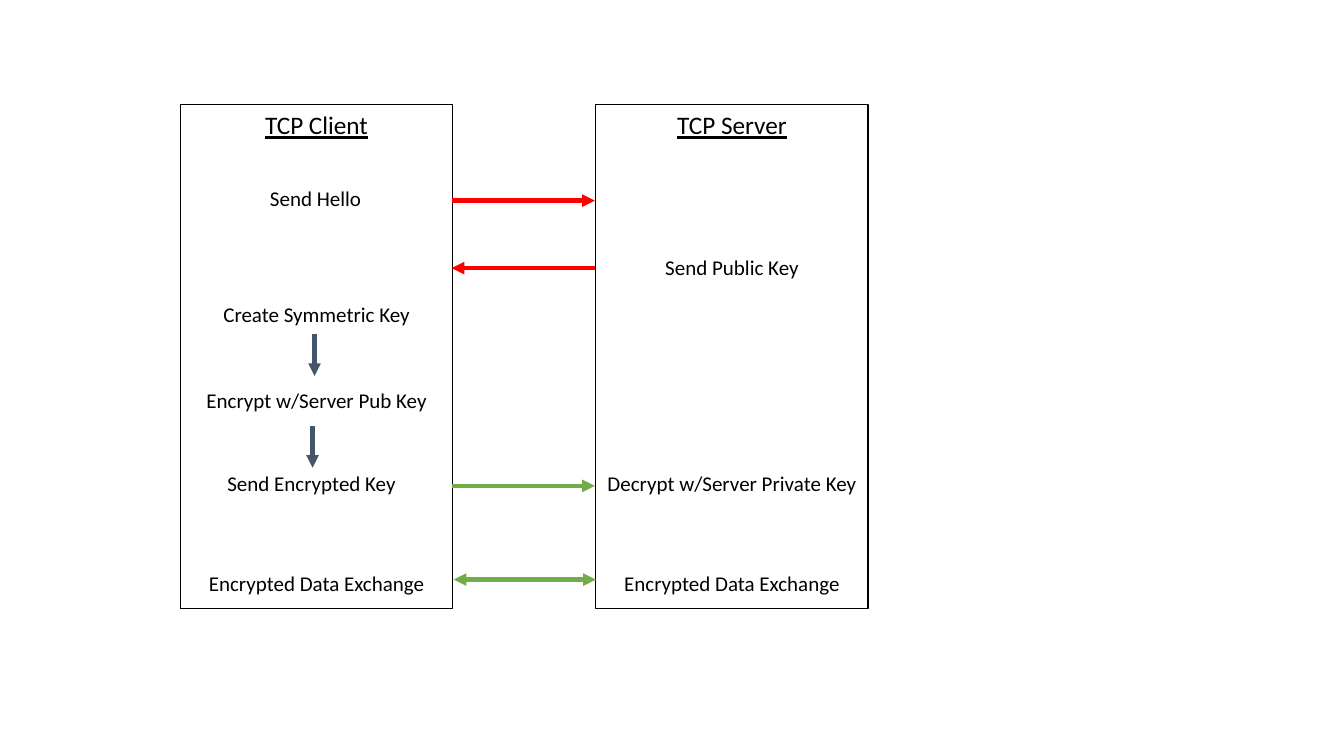
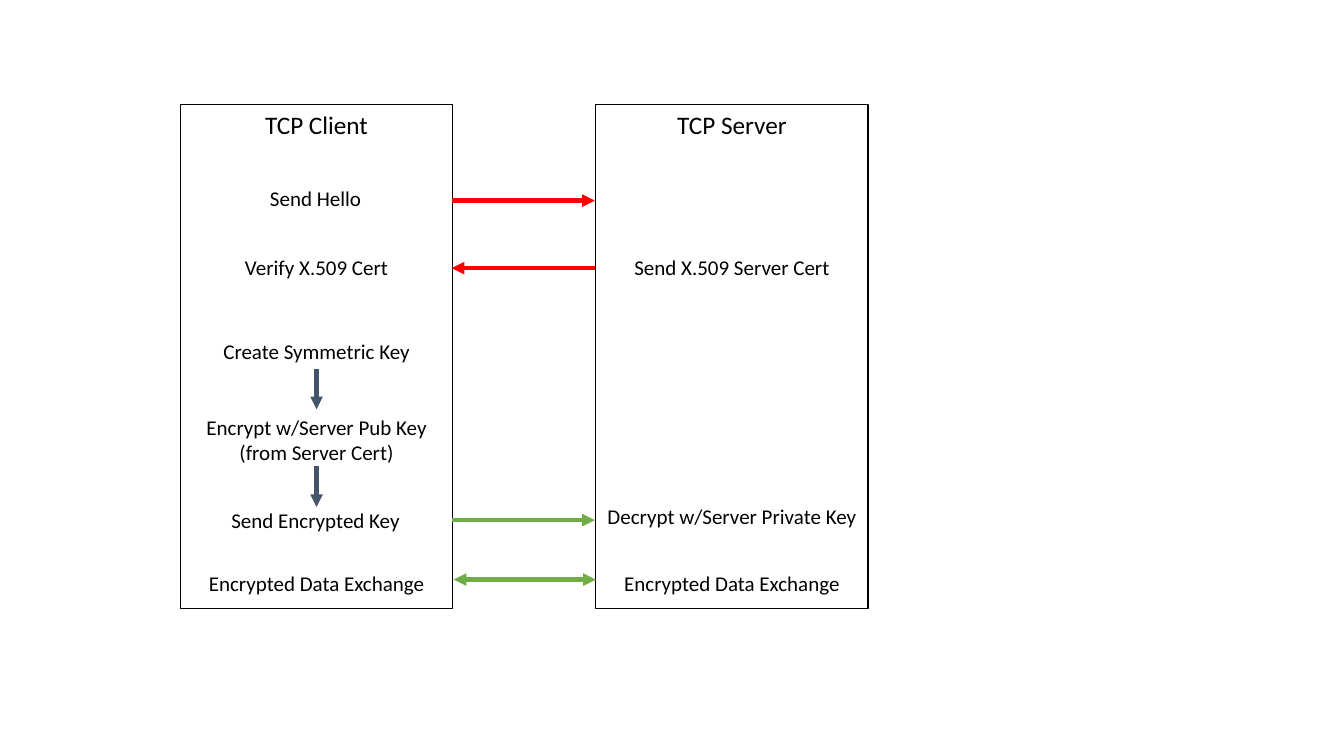
from dataclasses import dataclass

from pptx import Presentation
from pptx import util as u
from pptx.dml.color import RGBColor
from pptx.enum import shapes, text
from pptx.oxml.ns import qn
from lxml import etree


@dataclass(frozen=True)
class Theme:
    font: str = "Calibri"
    ink: str = "000000"
    open_channel: str = "FF0000"
    secured_channel: str = "70AD47"
    local_step: str = "44546A"
    heading_size: float = 18
    note_size: float = 15
    border_width: float = 0.75
    arrow_width: float = 3


LANE_TOP, LANE_WIDTH, LANE_HEIGHT = 1.04, 2.7, 5
CLIENT_LEFT, SERVER_LEFT = 1.79, 5.91
CLIENT, SERVER = (left + LANE_WIDTH / 2 for left in (CLIENT_LEFT, SERVER_LEFT))
GAP_LEFT, GAP_RIGHT = 4.48, 5.9
LINE_HEIGHT = 0.26


class SequenceDeck:
    def __init__(self, theme):
        self.theme = theme
        self.deck = Presentation()
        self.deck.slide_width = u.Inches(13.33)
        self.deck.slide_height = u.Inches(7.5)
        self.page = None

    def add_page(self):
        self.page = self.deck.slides.add_slide(self.deck.slide_layouts[6])

    def set_words(self, box, words, size, underline=False):
        frame = box.text_frame
        frame.text = words
        frame.vertical_anchor = text.MSO_ANCHOR.TOP
        for para in frame.paragraphs:
            para.alignment = text.PP_ALIGN.CENTER
            for span in para.runs:
                span.font.name = self.theme.font
                span.font.size = u.Pt(size)
                span.font.underline = underline
                span.font.color.rgb = RGBColor.from_string(self.theme.ink)

    def lane(self, left, heading, underline):
        box = self.page.shapes.add_shape(
            shapes.MSO_SHAPE.RECTANGLE, u.Inches(left), u.Inches(LANE_TOP),
            u.Inches(LANE_WIDTH), u.Inches(LANE_HEIGHT))
        box.shadow.inherit = False
        box.fill.background()
        box.line.color.rgb = RGBColor.from_string(self.theme.ink)
        box.line.width = u.Pt(self.theme.border_width)
        box.text_frame.word_wrap = False
        self.set_words(box, heading, self.theme.heading_size, underline)

    def note(self, center, top, words):
        height = 0.09 + LINE_HEIGHT * len(words.split("\n"))
        box = self.page.shapes.add_textbox(
            u.Inches(center - LANE_WIDTH / 2), u.Inches(top),
            u.Inches(LANE_WIDTH), u.Inches(height))
        box.text_frame.word_wrap = True
        box.text_frame.margin_left = box.text_frame.margin_right = u.Inches(0.05)
        self.set_words(box, words, self.theme.note_size)
        return box

    def arrow(self, start, end, color, both_ways=False):
        line = self.page.shapes.add_connector(
            shapes.MSO_CONNECTOR.STRAIGHT, *map(u.Inches, start + end))
        line.line.color.rgb = RGBColor.from_string(color)
        line.line.width = u.Pt(self.theme.arrow_width)
        properties = line.element.spPr
        outline = properties.find(qn("a:ln"))
        for tag in ("a:headEnd", "a:tailEnd") if both_ways else ("a:tailEnd",):
            etree.SubElement(outline, qn(tag)).set("type", "triangle")
        etree.SubElement(properties, qn("a:effectLst"))
        return line

    def request(self, y, color):
        self.arrow((GAP_LEFT, y), (GAP_RIGHT, y), color)

    def reply(self, y, color):
        self.arrow((GAP_RIGHT, y), (GAP_LEFT, y), color)

    def step(self, x, top, bottom):
        return self.arrow((x, top), (x, bottom), self.theme.local_step)

    def exchange(self, server_sends, underline):
        self.add_page()
        self.lane(CLIENT_LEFT, "TCP Client", underline)
        self.lane(SERVER_LEFT, "TCP Server", underline)
        self.note(CLIENT - 0.01, 1.79, "Send Hello")
        self.request(1.99, self.theme.open_channel)
        self.note(SERVER, 2.48, server_sends)
        self.reply(2.66, self.theme.open_channel)
        for center in (CLIENT, SERVER):
            self.note(center, 5.61, "Encrypted Data Exchange")
        self.arrow((4.5, 5.75), (5.91, 5.75), self.theme.secured_channel, both_ways=True)

    def key_transfer(self, client_center, client_top, server_top, arrow_y):
        self.note(client_center, client_top, "Send Encrypted Key")
        self.note(SERVER, server_top, "Decrypt w/Server Private Key")
        self.request(arrow_y, self.theme.secured_channel)


def public_key_page(sequence):
    sequence.exchange("Send Public Key", underline=True)
    sequence.note(CLIENT, 2.94, "Create Symmetric Key")
    sequence.step(3.12, 3.31, 3.73)
    sequence.note(CLIENT, 3.8, "Encrypt w/Server Pub Key")
    sequence.step(3.1, 4.23, 4.64)
    sequence.key_transfer(3.09, 4.62, 4.62, 4.82)


def certificate_page(sequence):
    sequence.exchange("Send X.509 Server Cert", underline=False)
    sequence.note(CLIENT, 2.48, "Verify X.509 Cert")
    create = sequence.note(CLIENT, 3.31, "Create Symmetric Key")
    encrypt = sequence.note(CLIENT, 4.06, "Encrypt w/Server Pub Key\n(from Server Cert)")
    creation_step = sequence.step(CLIENT, 3.66, 4.06)
    creation_step.begin_connect(create, 2)
    creation_step.end_connect(encrypt, 0)
    sequence.step(CLIENT, 4.62, 5.03)
    sequence.key_transfer(3.13, 4.99, 4.95, 5.16)


def main():
    sequence = SequenceDeck(Theme())
    public_key_page(sequence)
    certificate_page(sequence)
    sequence.deck.save("out.pptx")


if __name__ == "__main__":
    main()
